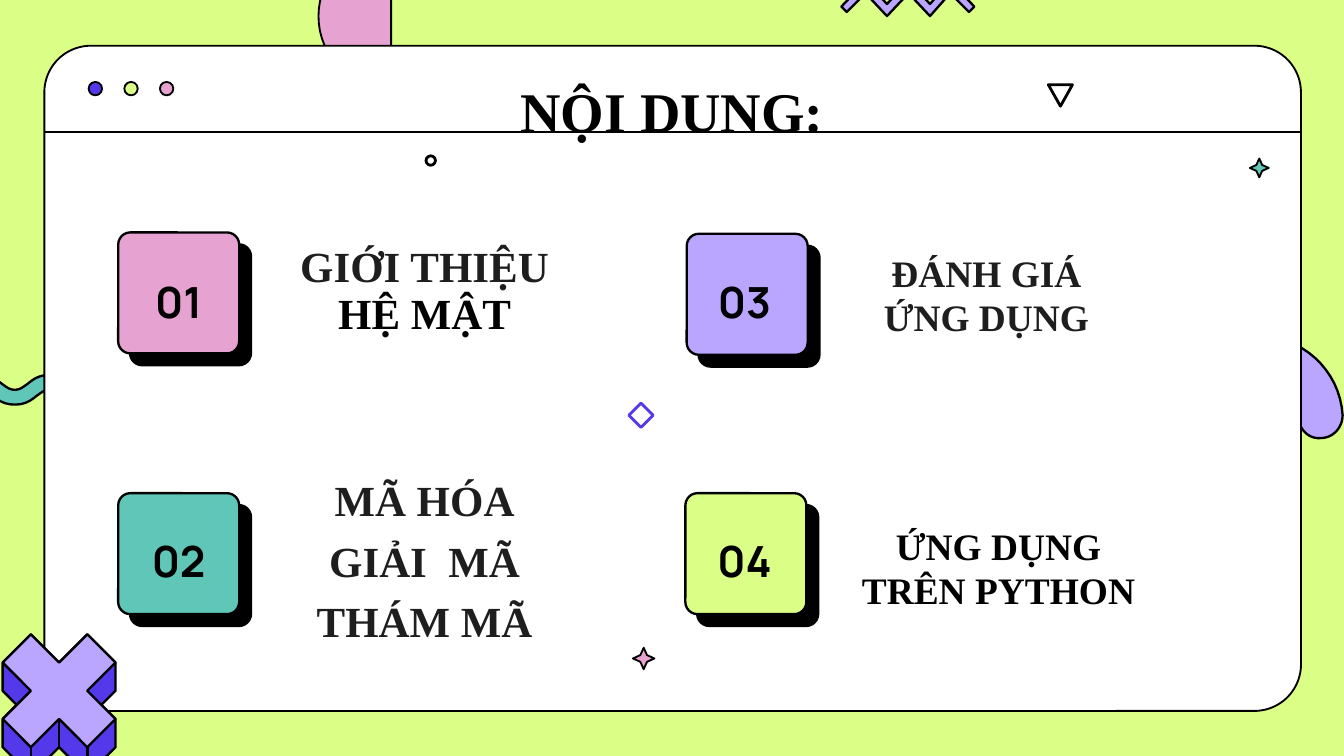
from math import ceil

from lxml.etree import SubElement
from pptx import Presentation
from pptx.dml.color import RGBColor as RGB
from pptx.enum.shapes import MSO_CONNECTOR as Connector, MSO_SHAPE as Preset
from pptx.enum.text import MSO_ANCHOR as Anchor, PP_ALIGN as Align
from pptx.oxml.ns import qn
from pptx.util import Inches, Pt

COLORS = {
    "lime": "DBFE87", "teal": "60C7B8", "lilac": "BAA5FF", "pink": "E6A2D0",
    "indigo": "5339EA", "white": "FFFFFF", "black": "000000", "ink": "1E1E1E",
}
SERIF = "Times New Roman"
BODY = {"line_spacing": 0.9, "space_before": Pt(7.5)}
PLAIN = {"line_spacing": 1.0, "space_before": Pt(0)}


def color(name):
    return RGB.from_string(COLORS[name])


def curve(start, *segments, steps=16):
    points = [start]
    for first, second, end in segments:
        origin = points[-1]
        for step in range(1, steps + 1):
            t = step / steps
            weights = ((1 - t) ** 3, 3 * t * (1 - t) ** 2, 3 * t * t * (1 - t), t ** 3)
            points.append(tuple(
                sum(weight * value for weight, value in zip(weights, values))
                for values in zip(origin, first, second, end)
            ))
    return points


class Canvas:
    def __init__(self, slide):
        self.slide = slide
        self.shapes = slide.shapes

    def background(self, fill):
        self.slide.background.fill.solid()
        self.slide.background.fill.fore_color.rgb = color(fill)

    def paint(self, shape, fill, line="black", width=1.0):
        shape.shadow.inherit = False
        if fill:
            shape.fill.solid()
            shape.fill.fore_color.rgb = color(fill)
        else:
            shape.fill.background()
        shape.line.color.rgb = color(line)
        shape.line.width = Pt(width)
        return shape

    def preset(self, kind, box, fill, line="black", width=1.0, adjust=None, rotation=0):
        shape = self.shapes.add_shape(kind, *map(Inches, box))
        if adjust is not None:
            shape.adjustments[0] = adjust
        shape.rotation = rotation
        return self.paint(shape, fill, line, width)

    def outline(self, points, fill, width=1.25):
        start, *rest = [(Inches(x), Inches(y)) for x, y in points]
        builder = self.shapes.build_freeform(*start)
        builder.add_line_segments(rest, close=True)
        return self.paint(builder.convert_to_shape(), fill, width=width)

    def line(self, start, end, width=1.0):
        connector = self.shapes.add_connector(Connector.STRAIGHT, *map(Inches, start + end))
        connector.line.color.rgb = color("black")
        connector.line.width = Pt(width)
        SubElement(connector._element.spPr, qn("a:effectLst"))

    def card(self, left, top, fill):
        shape = self.preset(Preset.ROUNDED_RECTANGLE, (left, top, 0.9, 0.9), fill,
                            width=1.25, adjust=0.1)
        effects = shape._element.spPr.find(qn("a:effectLst"))
        shadow = SubElement(effects, qn("a:outerShdw"), blurRad="0", dist=str(Pt(9)),
                            dir="2700000", algn="bl", rotWithShape="0")
        SubElement(shadow, qn("a:srgbClr"), val=COLORS["black"])

    def text(self, box, paragraphs, size, font=SERIF, anchor=Anchor.TOP, spacing=BODY):
        frame = self.shapes.add_textbox(*map(Inches, box)).text_frame
        frame.word_wrap = True
        frame.vertical_anchor = anchor
        for index, runs in enumerate(paragraphs):
            paragraph = frame.add_paragraph() if index else frame.paragraphs[0]
            for name, value in {"alignment": Align.CENTER, **spacing}.items():
                setattr(paragraph, name, value)
            for content, ink in runs:
                run = paragraph.add_run()
                run.text = content
                for name, value in {"name": font, "size": Pt(size), "bold": True}.items():
                    setattr(run.font, name, value)
                run.font.color.rgb = color(ink)


def draw_wave(canvas):
    fall = curve((0, 0), ((0.09, 0), (0.13, 0.04), (0.17, 0.07)),
                 ((0.2, 0.09), (0.22, 0.11), (0.26, 0.11)))
    rise = [(0.26 - x, y) for x, y in reversed(fall)]
    crest = [(-0.67 + 0.26 * index + x, 2.79 + y)
             for index in range(5) for x, y in (rise if index % 2 else fall)]
    trough = [(-0.04 - x, 5.8 - y) for x, y in crest]
    canvas.outline(crest + trough, "teal")


def draw_backdrop(canvas):
    canvas.background("lime")
    draw_wave(canvas)
    canvas.outline(curve(
        (9.08, 2.57),
        ((9.16, 2.53), (9.25, 2.51), (9.34, 2.5)),
        ((9.68, 2.49), (9.97, 2.75), (9.99, 3.09)),
        ((9.99, 3.18), (9.92, 3.26), (9.83, 3.26)),
        ((9.74, 3.27), (9.67, 3.2), (9.66, 3.11)),
        ((9.66, 2.95), (9.52, 2.82), (9.36, 2.83)),
        ((9.28, 2.83), (9.21, 2.86), (9.16, 2.92)),
        ((9.1, 2.98), (9.07, 3.06), (9.08, 3.13)),
        ((9.08, 3.22), (9.01, 3.3), (8.92, 3.3)),
        ((8.83, 3.31), (8.76, 3.24), (8.75, 3.15)),
        ((8.74, 2.9), (8.88, 2.68), (9.08, 2.57)),
    ), "lilac")
    canvas.outline(curve(
        (2.91, -0.41),
        ((2.61, -0.41), (2.37, -0.17), (2.37, 0.12)),
        ((2.37, 0.42), (2.61, 0.66), (2.91, 0.66)),
    ), "pink", 1)
    canvas.preset(Preset.ROUNDED_RECTANGLE, (0.33, 0.34, 9.35, 4.95), "white", adjust=0.07)
    canvas.line((0.33, 0.98), (9.67, 0.98))


def draw_contents(canvas):
    for left, top, fill in ((0.88, 1.73, "pink"), (0.88, 3.67, "teal"),
                            (5.11, 1.74, "lilac"), (5.1, 3.67, "lime")):
        canvas.card(left, top, fill)
    for index in range(4):
        column, row = divmod(index, 2)
        box = (0.8 + 4.21 * column, 1.98 + 1.93 * row, 1.06, 0.57)
        canvas.text(box, [[(f"{index + 1:02d}", "black")]], 23, "Manrope", Anchor.MIDDLE)

    canvas.text((0.79, 0.65, 8.42, 0.4), [[("NỘI DUNG:", "black")]], 30,
                anchor=Anchor.MIDDLE, spacing={"line_spacing": 0.9})
    canvas.text((2.07, 1.78, 2.18, 0.98),
                [[("GIỚI THIỆU ", "ink"), ("HỆ MẬT", "black")]], 23)
    canvas.text((1.92, 3.52, 2.48, 1.54),
                [[(words, "ink")] for words in ("MÃ HÓA", "GIẢI  MÃ", "THÁM MÃ")], 23)
    canvas.text((6.17, 1.81, 2.34, 0.77),
                [[(words, "ink")] for words in ("ĐÁNH GIÁ", "ỨNG DỤNG")], 20, spacing=PLAIN)
    canvas.text((6.26, 3.84, 2.34, 0.77),
                [[("ỨNG DỤNG TRÊN PYTHON", "black")]], 20, spacing=PLAIN)


def draw_cross(canvas):
    def place(points):
        return [(0.44 + 0.21 * x, 5.14 + 0.21 * y) for x, y in points]

    right_side = [(0, -1), (1, -2), (2, -1), (2, 0), (1.5, 0.5), (2, 1), (2, 2), (1, 3), (0, 2)]
    right_face = [(0, -1), (1, -2), (2, -1), (1, 0), (2, 1), (1, 2), (0, 1)]
    for half, fill in ((right_side, "indigo"), (right_face, "lilac")):
        mirrored = [(-x, y) for x, y in reversed(half[1:-1])]
        canvas.outline(place(half + mirrored), fill)
    for x, y in ((-1, 2), (0, 1), (1, 2)):
        canvas.line(*place([(x, y), (x, y + 1)]), width=1.25)


def draw_ornaments(canvas):
    canvas.preset(Preset.STAR_4_POINT, (4.71, 4.82, 0.16, 0.16), "pink", adjust=0.22)
    canvas.preset(Preset.STAR_4_POINT, (9.3, 1.18, 0.14, 0.14), "teal", adjust=0.22)
    canvas.preset(Preset.ISOSCELES_TRIANGLE, (7.8, 0.63, 0.18, 0.16), None,
                  width=1.5, rotation=180)
    canvas.preset(Preset.DIAMOND, (4.68, 3, 0.18, 0.18), None, "indigo", 1.5)
    canvas.preset(Preset.OVAL, (3.17, 1.16, 0.07, 0.07), None, width=1.5)
    draw_cross(canvas)
    for index, fill in enumerate(("indigo", "lime", "pink")):
        canvas.preset(Preset.OVAL, (0.66 + 0.265 * index, 0.61, 0.1, 0.1), fill)
    canvas.outline([
        (6.92, 0.12), (6.76, -0.05), (6.6, 0.12), (6.44, -0.05), (6.3, 0.09),
        (6.26, 0.05), (6.44, -0.14), (6.6, 0.03), (6.76, -0.14), (6.92, 0.03),
        (7.07, -0.14), (7.25, 0.05), (7.21, 0.09), (7.07, -0.05),
    ], "lilac")


def main():
    presentation = Presentation()
    presentation.slide_width = Inches(10)
    presentation.slide_height = ceil(Inches(10) * 9 / 16)
    canvas = Canvas(presentation.slides.add_slide(presentation.slide_layouts[6]))
    draw_backdrop(canvas)
    draw_contents(canvas)
    draw_ornaments(canvas)
    presentation.save("out.pptx")


if __name__ == "__main__":
    main()
